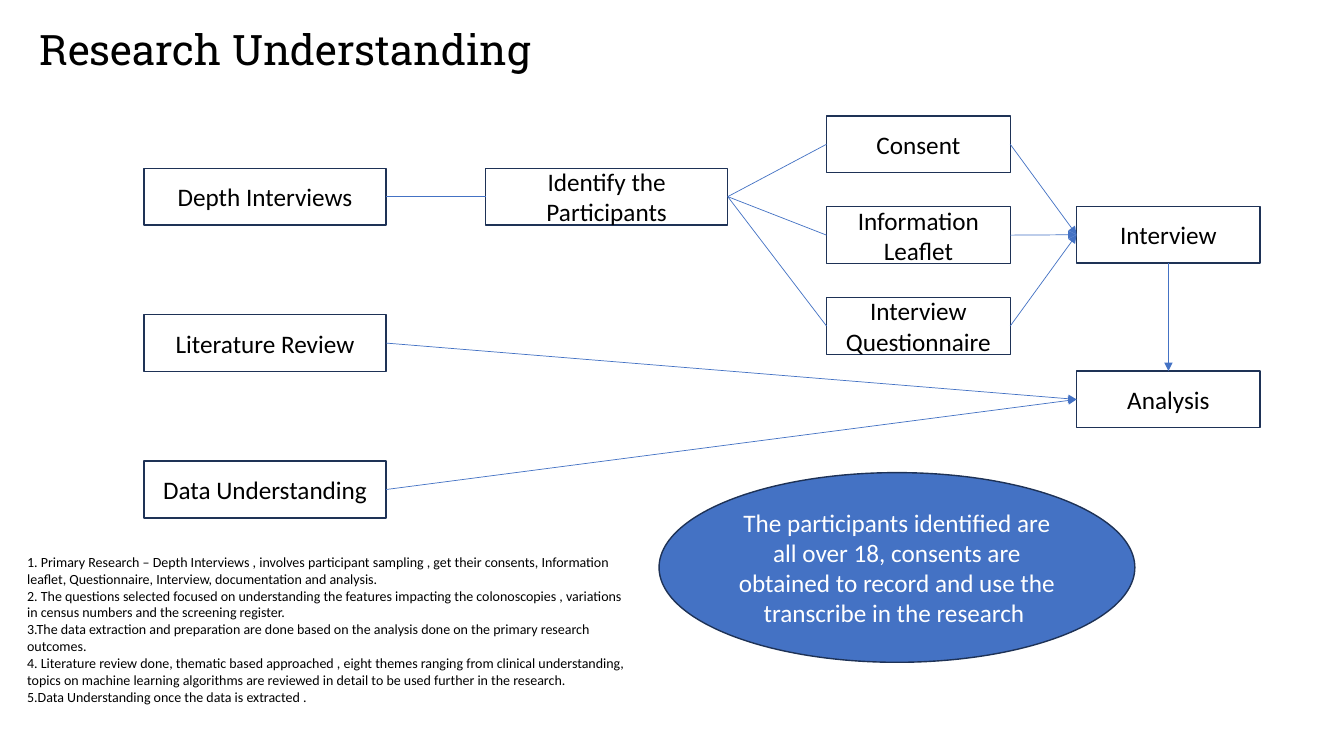
from lxml import etree
from pptx import Presentation
from pptx.dml.color import RGBColor
from pptx.enum.shapes import MSO_CONNECTOR as Line, MSO_SHAPE as Shape
from pptx.enum.text import MSO_ANCHOR as Anchor, MSO_AUTO_SIZE as AutoSize, PP_ALIGN as Align
from pptx.oxml.ns import qn
from pptx.util import Cm, Pt

BLACK = RGBColor(0x00, 0x00, 0x00)
WHITE = RGBColor(0xFF, 0xFF, 0xFF)
BLUE = RGBColor(0x44, 0x72, 0xC4)
NAVY = RGBColor(0x1E, 0x32, 0x56)

# Content
TITLE = "Research Understanding"
NOTES = [
    "1. Primary Research – Depth Interviews , involves participant sampling , get their consents, "
    "Information leaflet, Questionnaire, Interview, documentation and analysis.",
    "2. The questions selected focused on understanding the features impacting the colonoscopies , "
    "variations in census numbers and the screening register.",
    "3.The data extraction and preparation are done based on the analysis done on the primary "
    "research outcomes.",
    "4. Literature review done, thematic based approached , eight themes ranging from clinical "
    "understanding, topics on machine learning algorithms are reviewed in detail to be used "
    "further in the research.",
    "5.Data Understanding once the data is extracted .",
]
CONSENT_NOTE = ("The participants identified are all over 18, consents are obtained to record "
                "and use the transcribe in the research ")
DOCUMENTS = ["Consent", "Information Leaflet", "Interview Questionnaire"]

# Columns of the flow: left, width, first top, step between tops (cm), steps
COLUMNS = [
    (3.63, 6.1, 4.24, 3.69, ["Depth Interviews", "Literature Review", "Data Understanding"]),
    (12.24, 6.1, 4.24, 0, ["Identify the Participants"]),
    (20.83, 4.63, 2.92, 2.29, DOCUMENTS),
    (27.13, 4.63, 5.2, 4.15, ["Interview", "Analysis"]),
]
STEP_HEIGHT = 1.43

# Links: from, to, arrowhead, start side, end side
TOP, LEFT, BOTTOM, RIGHT = range(4)
LINKS = [
    ("Depth Interviews", "Identify the Participants", False, RIGHT, LEFT),
    *[("Identify the Participants", document, False, RIGHT, LEFT) for document in DOCUMENTS],
    *[(document, "Interview", True, RIGHT, LEFT) for document in DOCUMENTS],
    ("Interview", "Analysis", True, BOTTOM, TOP),
    ("Literature Review", "Analysis", True, RIGHT, LEFT),
    ("Data Understanding", "Analysis", True, RIGHT, LEFT),
]


def format_text(frame, size, color, align, font="Calibri"):
    for paragraph in frame.paragraphs:
        paragraph.alignment = align
        paragraph.space_before = Pt(0)
        for run in paragraph.runs:
            run.font.name, run.font.size = font, Pt(size)
            run.font.color.rgb = color


def place(placeholder, left, top, width, height, anchor):
    placeholder.left, placeholder.top = Cm(left), Cm(top)
    placeholder.width, placeholder.height = Cm(width), Cm(height)
    frame = placeholder.text_frame
    frame.word_wrap, frame.auto_size = True, AutoSize.NONE
    frame.vertical_anchor = anchor
    return frame


def add_step(kind, text, left, top, width, height, fill, color):
    step = slide.shapes.add_shape(kind, Cm(left), Cm(top), Cm(width), Cm(height))
    step.shadow.inherit = False
    step.fill.solid()
    step.fill.fore_color.rgb = fill
    step.line.color.rgb, step.line.width = NAVY, Pt(1)
    step.text_frame.text = text
    step.text_frame.word_wrap = True
    step.text_frame.vertical_anchor = Anchor.MIDDLE
    format_text(step.text_frame, 18, color, Align.CENTER)
    return step


def add_link(start, end, arrow, start_side, end_side):
    link = slide.shapes.add_connector(Line.STRAIGHT, 0, 0, 0, 0)
    link.begin_connect(start, start_side)
    link.end_connect(end, end_side)
    link.line.color.rgb, link.line.width = BLUE, Pt(0.5)
    if arrow:
        etree.SubElement(link.line._get_or_add_ln(), qn("a:tailEnd"), type="triangle")
    etree.SubElement(link._element.spPr, qn("a:effectLst"))


prs = Presentation()
prs.slide_width, prs.slide_height = Cm(33.87), Cm(19.05)
slide = prs.slides.add_slide(prs.slide_layouts[1])

# Title
heading = place(slide.shapes.title, 0.74, 0.46, 18.82, 1.55, Anchor.MIDDLE)
heading.text = TITLE
format_text(heading, 30, BLACK, Align.LEFT, "Roboto Slab")

# Numbered notes
notes = place(slide.placeholders[1], 0.43, 13.82, 15.72, 4.52, Anchor.TOP)
notes.text = "\n".join(NOTES)
format_text(notes, 10, BLACK, Align.LEFT)
for note in notes.paragraphs:
    properties = note._p.get_or_add_pPr()
    properties.set("marL", "0")
    properties.set("indent", "0")
    etree.SubElement(properties, qn("a:buNone"))

# Flow steps
steps = {}
for left, width, first_top, gap, names in COLUMNS:
    for row, name in enumerate(names):
        steps[name] = add_step(Shape.RECTANGLE, name, left, first_top + row * gap,
                               width, STEP_HEIGHT, WHITE, BLACK)

# Links between steps
for start, end, arrow, start_side, end_side in LINKS:
    add_link(steps[start], steps[end], arrow, start_side, end_side)

# Consent note
add_step(Shape.OVAL, CONSENT_NOTE, 16.61, 11.91, 11.99, 4.78, BLUE, WHITE)

prs.save("out.pptx")
